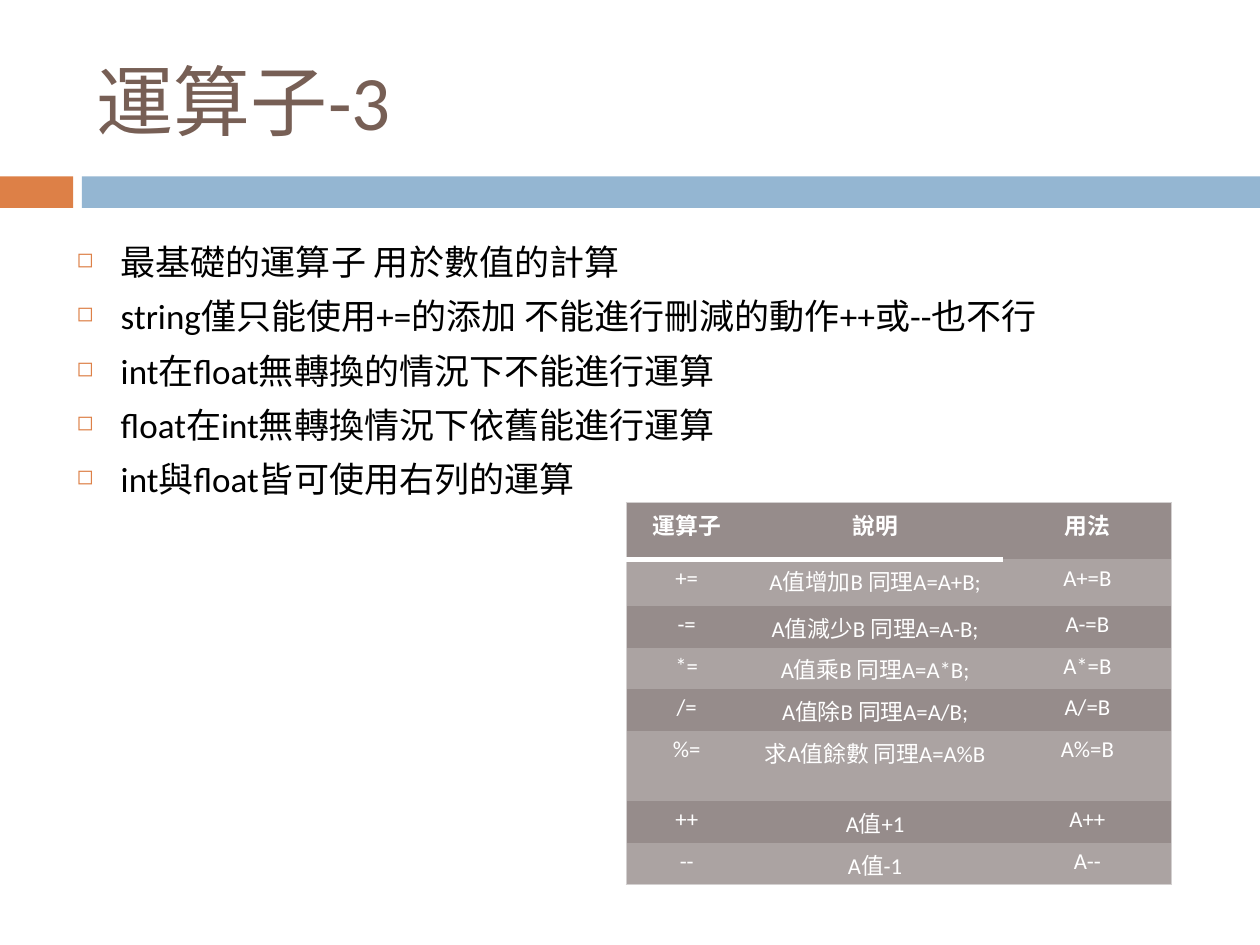
from pptx import Presentation, util as u
from pptx.dml.color import RGBColor
from pptx.enum import shapes, text
from pptx.oxml import parse_xml
from pptx.oxml.ns import nsdecls

FONT = "Calibri"
ORANGE = RGBColor(0xDD, 0x80, 0x47)
BLUE = RGBColor(0x94, 0xB6, 0xD2)
BROWN = RGBColor(0x77, 0x5F, 0x55)
BLACK = RGBColor(0, 0, 0)
WHITE = RGBColor(0xFF, 0xFF, 0xFF)
DARK_ROW = RGBColor(0x96, 0x8C, 0x8B)
LIGHT_ROW = RGBColor(0xAB, 0xA3, 0xA2)
EDGE = RGBColor(0xD3, 0xD0, 0xD0)

POINTS = [
    "最基礎的運算子 用於數值的計算",
    "string僅只能使用+=的添加 不能進行刪減的動作++或--也不行",
    "int在float無轉換的情況下不能進行運算",
    "float在int無轉換情況下依舊能進行運算",
    "int與float皆可使用右列的運算",
]
OPERATORS = [
    ("運算子", "說明", "用法"),
    ("+=", "A值增加B 同理A=A+B;", "A+=B"),
    ("-=", "A值減少B 同理A=A-B;", "A-=B"),
    ("*=", "A值乘B 同理A=A*B;", "A*=B"),
    ("/=", "A值除B 同理A=A/B;", "A/=B"),
    ("%=", "求A值餘數 同理A=A%B", "A%=B"),
    ("++", "A值+1", "A++"),
    ("--", "A值-1", "A--"),
]
COLUMN_WIDTHS = [0.96, 2.03, 1.34]
ROW_HEIGHTS = [0.45, 0.37, 0.33, 0.33, 0.33, 0.56, 0.33, 0.33]


def style_font(font, size, color, bold=False):
    """Set the typeface, size, colour and weight of a font."""
    font.name, font.size, font.bold = FONT, u.Pt(size), bold
    font.color.rgb = color


def add_bar(page, left, width, color):
    """Add one block of the band under the title."""
    bar = page.shapes.add_shape(
        shapes.MSO_SHAPE.RECTANGLE,
        u.Inches(left), u.Inches(1.4), u.Inches(width), u.Inches(0.25))
    bar.shadow.inherit = False
    bar.fill.solid()
    bar.fill.fore_color.rgb = color
    bar.line.fill.background()


def add_text(page, place, lines, size, color):
    """Add a wrapping text box with one paragraph per line."""
    box = page.shapes.add_textbox(*map(u.Inches, place))
    frame = box.text_frame
    frame.word_wrap = True
    frame.text = "\n".join(lines)
    for para in frame.paragraphs:
        for span in para.runs:
            style_font(span.font, size, color)
    return frame


def add_bullet(para):
    """Give a paragraph a small square bullet with a hanging indent."""
    para.space_before = u.Pt(7)
    properties = para._p.get_or_add_pPr()
    properties.set("marL", str(u.Inches(0.35)))
    properties.set("indent", str(u.Inches(-0.35)))
    for xml in (f'<a:buClr {nsdecls("a")}><a:srgbClr val="{ORANGE}"/></a:buClr>',
                f'<a:buSzPct {nsdecls("a")} val="60000"/>',
                f'<a:buChar {nsdecls("a")} char="◻"/>'):
        properties.append(parse_xml(xml))


def set_borders(cell, borders):
    """Draw the given sides of a cell and hide the others."""
    properties = cell._tc.get_or_add_tcPr()
    for position, side in enumerate("LRTB"):
        color, width = borders.get(side, (None, 0))
        paint = (f'<a:solidFill><a:srgbClr val="{color}"/></a:solidFill>'
                 if color else "<a:noFill/>")
        line = parse_xml(f'<a:ln{side} {nsdecls("a")} w="{u.Pt(width)}">{paint}</a:ln{side}>')
        properties.insert(position, line)


def find_borders(row, column):
    """Return the outer edges and the header rule that touch a cell."""
    last_row, last_column = len(OPERATORS) - 1, len(COLUMN_WIDTHS) - 1
    edges = {"L": column == 0, "R": column == last_column,
             "T": row == 0, "B": row == last_row}
    borders = {side: (EDGE, 0.79) for side, drawn in edges.items() if drawn}
    if column < last_column and row < 2:
        borders["B" if row == 0 else "T"] = (WHITE, 3.75)
    return borders


def fill_cell(cell, words, row, column):
    """Write and format one table cell."""
    cell.text = words
    cell.margin_left = cell.margin_right = u.Inches(0.07)
    cell.margin_top = cell.margin_bottom = u.Inches(0.04)
    cell.fill.solid()
    cell.fill.fore_color.rgb = LIGHT_ROW if row % 2 else DARK_ROW
    para = cell.text_frame.paragraphs[0]
    para.alignment = text.PP_ALIGN.CENTER
    style_font(para.runs[0].font, 13, WHITE, bold=row == 0)
    set_borders(cell, find_borders(row, column))


def add_operator_table(page):
    """Add the table of operators."""
    table = page.shapes.add_table(
        len(OPERATORS), len(COLUMN_WIDTHS), u.Inches(4.97), u.Inches(3.99),
        u.Inches(sum(COLUMN_WIDTHS)), u.Inches(sum(ROW_HEIGHTS))).table
    for column, width in zip(table.columns, COLUMN_WIDTHS):
        column.width = u.Inches(width)
    for row, height in zip(table.rows, ROW_HEIGHTS):
        row.height = u.Inches(height)
    for row, entries in enumerate(OPERATORS):
        for column, words in enumerate(entries):
            fill_cell(table.cell(row, column), words, row, column)


def main():
    """Build the slide and save it."""
    deck = Presentation()
    deck.slide_width, deck.slide_height = u.Inches(10), u.Inches(7.5)
    page = deck.slides.add_slide(deck.slide_layouts[6])
    add_bar(page, 0, 0.58, ORANGE)
    add_bar(page, 0.65, 9.35, BLUE)
    title = add_text(page, (0.67, 0.25, 8.92, 1.08), ["運算子-3"], 44, BROWN)
    title.vertical_anchor = text.MSO_ANCHOR.MIDDLE
    add_operator_table(page)
    body = add_text(page, (0.51, 1.86, 8.92, 4.92), POINTS, 20, BLACK)
    for para in body.paragraphs:
        add_bullet(para)
    deck.save("out.pptx")


if __name__ == "__main__":
    main()
